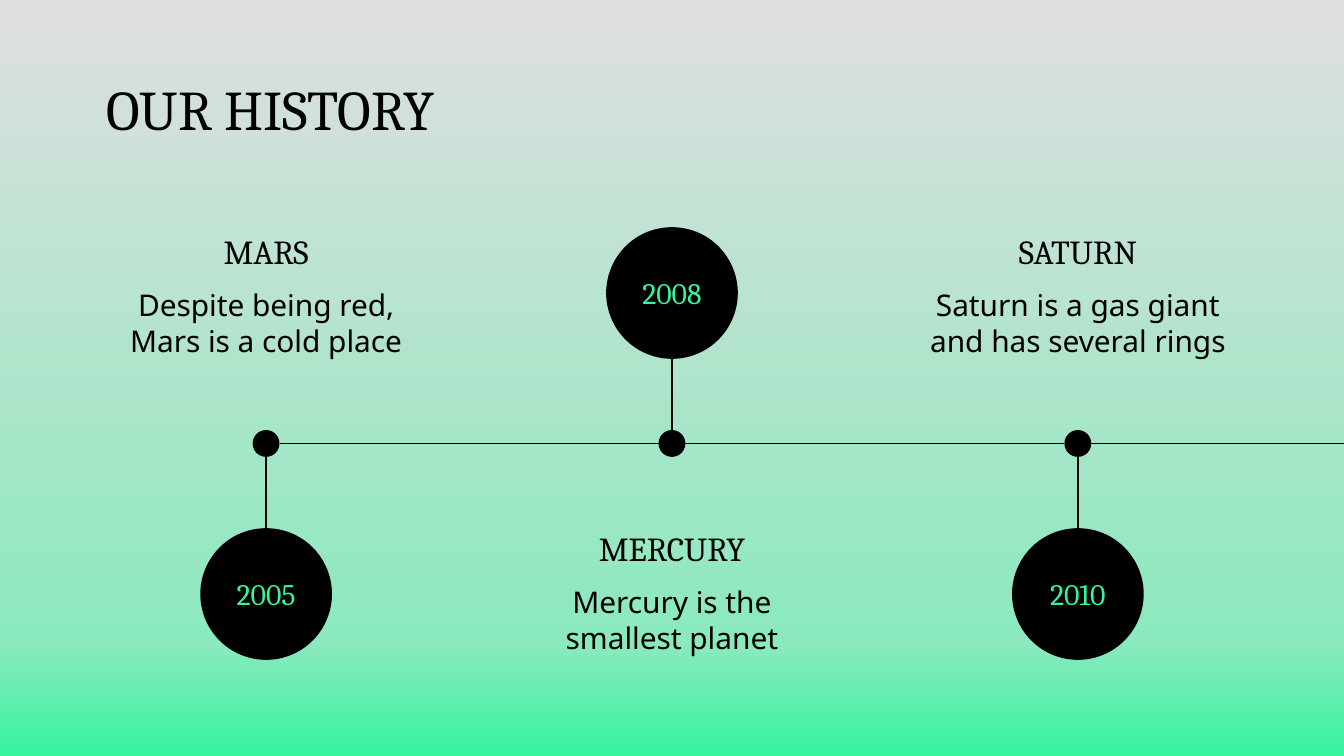
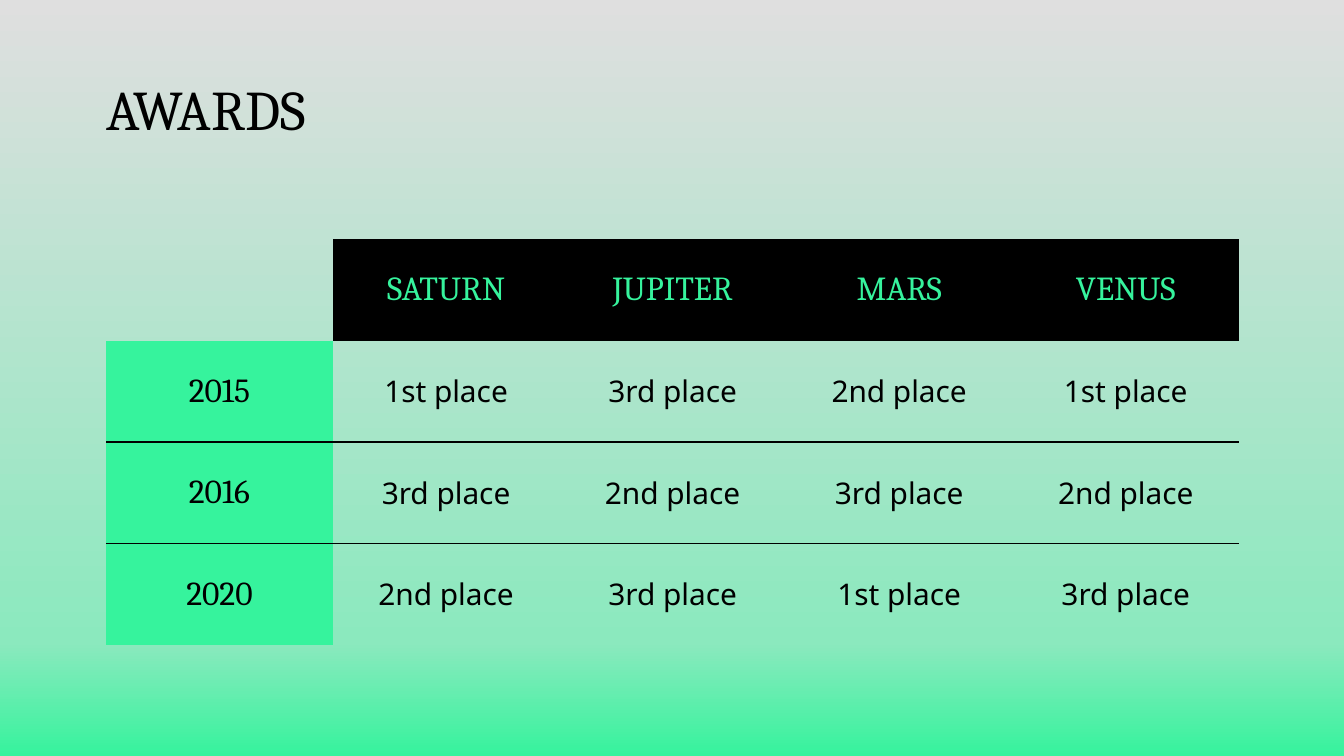
from copy import deepcopy

from lxml import etree
from pptx import Presentation
from pptx.dml.color import RGBColor
from pptx.enum import shapes, text
from pptx.oxml import ns
from pptx.util import Inches, Pt

BLACK = RGBColor(0x00, 0x00, 0x00)
GREEN = RGBColor(0x36, 0xF3, 0x9D)
MINT = RGBColor(0x8B, 0xE9, 0xBE)
GREY = RGBColor(0xDF, 0xDF, 0xDF)
HEAD_FONT, BODY_FONT = "Cambria", "Noto Sans"
LINE_WIDTH = 0.75
CENTER, LEFT = text.PP_ALIGN.CENTER, text.PP_ALIGN.LEFT
MIDDLE = text.MSO_ANCHOR.MIDDLE
NO_STYLE = "{2D5ABB26-0587-4C30-8999-92F81FD0307C}"

MILESTONES = [
    ("2005", "MARS", "Despite being red, Mars is a cold place"),
    ("2008", "MERCURY", "Mercury is the smallest planet"),
    ("2010", "SATURN", "Saturn is a gas giant and has several rings"),
]
AWARDS = [
    ["", "SATURN", "JUPITER", "MARS", "VENUS"],
    ["2015", "1st place", "3rd place", "2nd place", "1st place"],
    ["2016", "3rd place", "2nd place", "3rd place", "2nd place"],
    ["2020", "2nd place", "3rd place", "1st place", "3rd place"],
]


def set_background(master):
    fill = master.background.fill
    fill.gradient()
    fill.gradient_angle = 270
    stops = master.element.find(".//" + ns.qn("a:gsLst"))
    stops.insert(1, deepcopy(stops[0]))
    for stop, (position, color) in zip(
            fill.gradient_stops, [(0, GREY), (0.85, MINT), (1, GREEN)]):
        stop.position = position
        stop.color.rgb = color


def write(tf, words, size, font=HEAD_FONT, color=BLACK, align=CENTER):
    tf.text = words
    p = tf.paragraphs[0]
    p.alignment = align
    for r in p.runs:
        r.font.size = Pt(size)
        r.font.name = font
        r.font.color.rgb = color


def frame(sp):
    tf = sp.text_frame
    tf.word_wrap = True
    tf.auto_size = text.MSO_AUTO_SIZE.NONE
    tf.vertical_anchor = MIDDLE
    tf.margin_left = tf.margin_right = tf.margin_top = tf.margin_bottom = 0
    return tf


def titled_slide(prs, title):
    s = prs.slides.add_slide(prs.slide_layouts[5])
    sp = s.shapes.title
    sp.left, sp.top = Inches(0.79), Inches(0.49)
    sp.width, sp.height = Inches(8.43), Inches(0.63)
    write(frame(sp), title, 30, align=LEFT)
    return s


def add_text(s, x, y, w, h, *style):
    sp = s.shapes.add_textbox(Inches(x), Inches(y), Inches(w), Inches(h))
    write(frame(sp), *style)


def add_circle(group, cx, cy, diameter):
    sp = group.shapes.add_shape(
        shapes.MSO_SHAPE.OVAL, Inches(cx - diameter / 2),
        Inches(cy - diameter / 2), Inches(diameter), Inches(diameter))
    sp.shadow.inherit = False
    sp.fill.solid()
    sp.fill.fore_color.rgb = BLACK
    sp.line.fill.background()
    return sp


def add_line(group, x1, y1, x2, y2):
    line = group.shapes.add_connector(
        shapes.MSO_CONNECTOR.STRAIGHT,
        Inches(x1), Inches(y1), Inches(x2), Inches(y2))
    line.line.color.rgb = BLACK
    line.line.width = Pt(LINE_WIDTH)
    etree.SubElement(line.element.spPr, ns.qn("a:effectLst"))


def add_timeline(s, x, y, w):
    label_w, step, dot, badge = 2.38, 3.02, 0.2, 0.98
    axis_y, badge_gap = y + 1.69, 1.12
    group = s.shapes.add_group_shape()
    for i, (year, name, detail) in enumerate(MILESTONES):
        side = -1 if i % 2 else 1
        left = x + i * step
        cx = left + label_w / 2
        label_y = y if side > 0 else y + 2.21
        badge_y = axis_y + side * badge_gap

        add_text(s, left, label_y, label_w, 0.51, name, 18)
        add_text(s, left, label_y + 0.51, label_w, 0.56,
                 detail, 16, BODY_FONT)

        last = i == len(MILESTONES) - 1
        end = x + w if last else cx + step - dot / 2
        add_line(group, cx + dot / 2, axis_y, end, axis_y)
        add_line(group, cx, badge_y - side * badge / 2,
                 cx, axis_y + side * dot / 2)
        add_circle(group, cx, axis_y, dot)
        sp = add_circle(group, cx, badge_y, badge)
        write(frame(sp), year, 16, color=GREEN)


def add_border(cell, side):
    ln = etree.Element(ns.qn("a:ln" + side), w=str(Pt(LINE_WIDTH)))
    fill = etree.SubElement(ln, ns.qn("a:solidFill"))
    etree.SubElement(fill, ns.qn("a:srgbClr"), val=str(BLACK))
    cell._tc.get_or_add_tcPr().insert(0, ln)


def fill_cell(cell, color):
    if color is None:
        cell.fill.background()
    else:
        cell.fill.solid()
        cell.fill.fore_color.rgb = color


def add_awards(s, x, y, w, h):
    rows, cols = len(AWARDS), len(AWARDS[0])
    gf = s.shapes.add_table(rows, cols, Inches(x), Inches(y),
                            Inches(w), Inches(h))
    gf.element.find(".//" + ns.qn("a:tableStyleId")).text = NO_STYLE
    table = gf.table
    table.first_row = table.horz_banding = False
    for i, row in enumerate(AWARDS):
        for j, words in enumerate(row):
            cell = table.cell(i, j)
            cell.vertical_anchor = MIDDLE
            cell.margin_left = cell.margin_right = Inches(0.1)
            cell.margin_top = cell.margin_bottom = Inches(0.1)
            if i == 0:
                fill_cell(cell, BLACK if words else None)
                write(cell.text_frame, words, 18, color=GREEN)
            elif j == 0:
                fill_cell(cell, GREEN)
                write(cell.text_frame, words, 18)
            else:
                fill_cell(cell, None)
                write(cell.text_frame, words, 16, BODY_FONT)
            if 0 < i < rows - 1:
                add_border(cell, "B")
            if i > 1:
                add_border(cell, "T")


def main():
    prs = Presentation()
    prs.slide_width = Inches(10)
    prs.slide_height = prs.slide_width * 9 // 16
    set_background(prs.slide_master)
    add_timeline(titled_slide(prs, "OUR HISTORY"), 0.79, 1.61, 9.25)
    add_awards(titled_slide(prs, "AWARDS"), 0.79, 1.78, 8.43, 3.02)
    prs.save("out.pptx")


if __name__ == "__main__":
    main()
